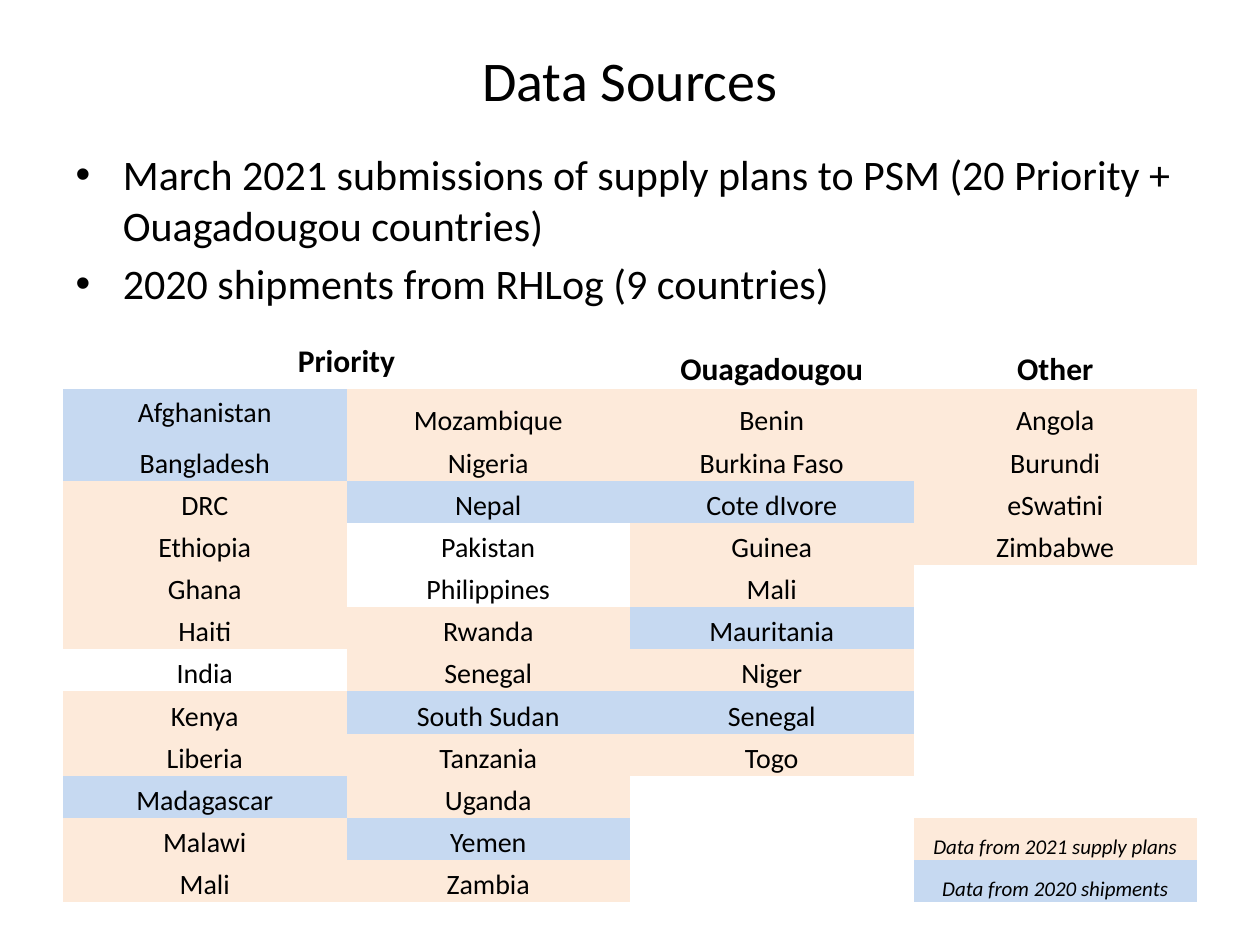
from dataclasses import dataclass

import pptx
import pptx.dml.color
import pptx.enum.text
import pptx.util

Pt = pptx.util.Pt
ALIGN = pptx.enum.text.PP_ALIGN
ANCHOR = pptx.enum.text.MSO_ANCHOR

FONT = "Calibri"
BLACK = "000000"
PLAN = "FDEADA"  # data from 2021 supply plans
SHIP = "C6D9F1"  # data from 2020 shipments
NO_GRID = "{2D5ABB26-0587-4C30-8999-92F81FD0307C}"
HEIGHTS = [30.2, 28.2] + [24.12] * 11


@dataclass
class Column:
    head: str
    names: list[str]
    shipped: tuple[str, ...] = ()
    blank: tuple[str, ...] = ()

    def fill(self, name: str) -> str | None:
        if name in self.blank:
            return None
        return SHIP if name in self.shipped else PLAN


@dataclass
class Label:
    row: int
    text: str
    fill: str


COLUMNS = [
    Column("Priority",
           ["Afghanistan", "Bangladesh", "DRC", "Ethiopia", "Ghana", "Haiti",
            "India", "Kenya", "Liberia", "Madagascar", "Malawi", "Mali"],
           shipped=("Afghanistan", "Bangladesh", "Madagascar"),
           blank=("India",)),
    Column("",
           ["Mozambique", "Nigeria", "Nepal", "Pakistan", "Philippines", "Rwanda",
            "Senegal", "South Sudan", "Tanzania", "Uganda", "Yemen", "Zambia"],
           shipped=("Nepal", "South Sudan", "Yemen"),
           blank=("Pakistan", "Philippines")),
    Column("Ouagadougou",
           ["Benin", "Burkina Faso", "Cote dIvore", "Guinea", "Mali",
            "Mauritania", "Niger", "Senegal", "Togo"],
           shipped=("Cote dIvore", "Mauritania", "Senegal")),
    Column("Other", ["Angola", "Burundi", "eSwatini", "Zimbabwe"]),
]
LEGEND = [
    Label(11, "Data from 2021 supply plans", PLAN),
    Label(12, "Data from 2020 shipments", SHIP),
]
POINTS = [
    "March 2021 submissions of supply plans to PSM (20 Priority + Ouagadougou countries)",
    "2020 shipments from RHLog (9 countries)",
]


def color(code: str) -> pptx.dml.color.RGBColor:
    return pptx.dml.color.RGBColor.from_string(code)


def add_run(para, text: str, size: float, bold: bool = False, italic: bool = False) -> None:
    run = para.add_run()
    run.text = text
    run.font.name = FONT
    run.font.size = Pt(size)
    run.font.bold = bold
    run.font.italic = italic
    run.font.color.rgb = color(BLACK)


def place(shape, left: float, top: float, width: float, height: float) -> None:
    shape.left, shape.top = Pt(left), Pt(top)
    shape.width, shape.height = Pt(width), Pt(height)


def write(cell, text: str, size: float, fill: str | None = None, **style: bool) -> None:
    para = cell.text_frame.paragraphs[0]
    para.alignment = ALIGN.CENTER
    add_run(para, text, size, **style)
    if fill:
        cell.fill.solid()
        cell.fill.fore_color.rgb = color(fill)


def set_low(cell) -> None:
    cell.vertical_anchor = ANCHOR.BOTTOM
    cell.margin_left = cell.margin_right = cell.margin_top = Pt(0.7)
    cell.margin_bottom = 0


def add_grid(slide) -> None:
    frame = slide.shapes.add_table(len(HEIGHTS), len(COLUMNS),
                                   Pt(36), Pt(192.2), Pt(648), Pt(sum(HEIGHTS)))
    grid = frame.table
    grid.first_row = grid.horz_banding = False
    grid._tbl.tblPr.find(pptx.oxml.ns.qn("a:tableStyleId")).text = NO_GRID
    for row, height in zip(grid.rows, HEIGHTS):
        row.height = Pt(height)

    # Bottom-set, tight cells; the first two on the left stay at the top
    for cell in grid.iter_cells():
        cell.fill.background()
        set_low(cell)
    for row in (0, 1):
        cell = grid.cell(row, 0)
        cell.vertical_anchor = ANCHOR.TOP
        cell.margin_left = cell.margin_right = Pt(7.2)
        cell.margin_top = cell.margin_bottom = Pt(3.6)
    grid.cell(0, 0).merge(grid.cell(0, 1))

    # Heads and countries
    for col, group in enumerate(COLUMNS):
        if group.head:
            write(grid.cell(0, col), group.head, 18, bold=True)
        for row, name in enumerate(group.names, 1):
            write(grid.cell(row, col), name, 16, group.fill(name))

    # Legend
    for label in LEGEND:
        write(grid.cell(label.row, 3), label.text, 12, label.fill, italic=True)


def main() -> None:
    deck = pptx.Presentation()
    deck.slide_width, deck.slide_height = Pt(720), Pt(540)
    slide = deck.slides.add_slide(deck.slide_layouts[1])

    # Title
    title = slide.shapes.title
    place(title, 36, 0, 648, 90)
    add_run(title.text_frame.paragraphs[0], "Data Sources", 32)

    # Bullet list
    body = slide.placeholders[1]
    place(body, 36, 81.36, 648, 356.4)
    for i, text in enumerate(POINTS):
        frame = body.text_frame
        para = frame.add_paragraph() if i else frame.paragraphs[0]
        add_run(para, text, 24)

    # Country table
    add_grid(slide)
    deck.save("out.pptx")


if __name__ == "__main__":
    main()
